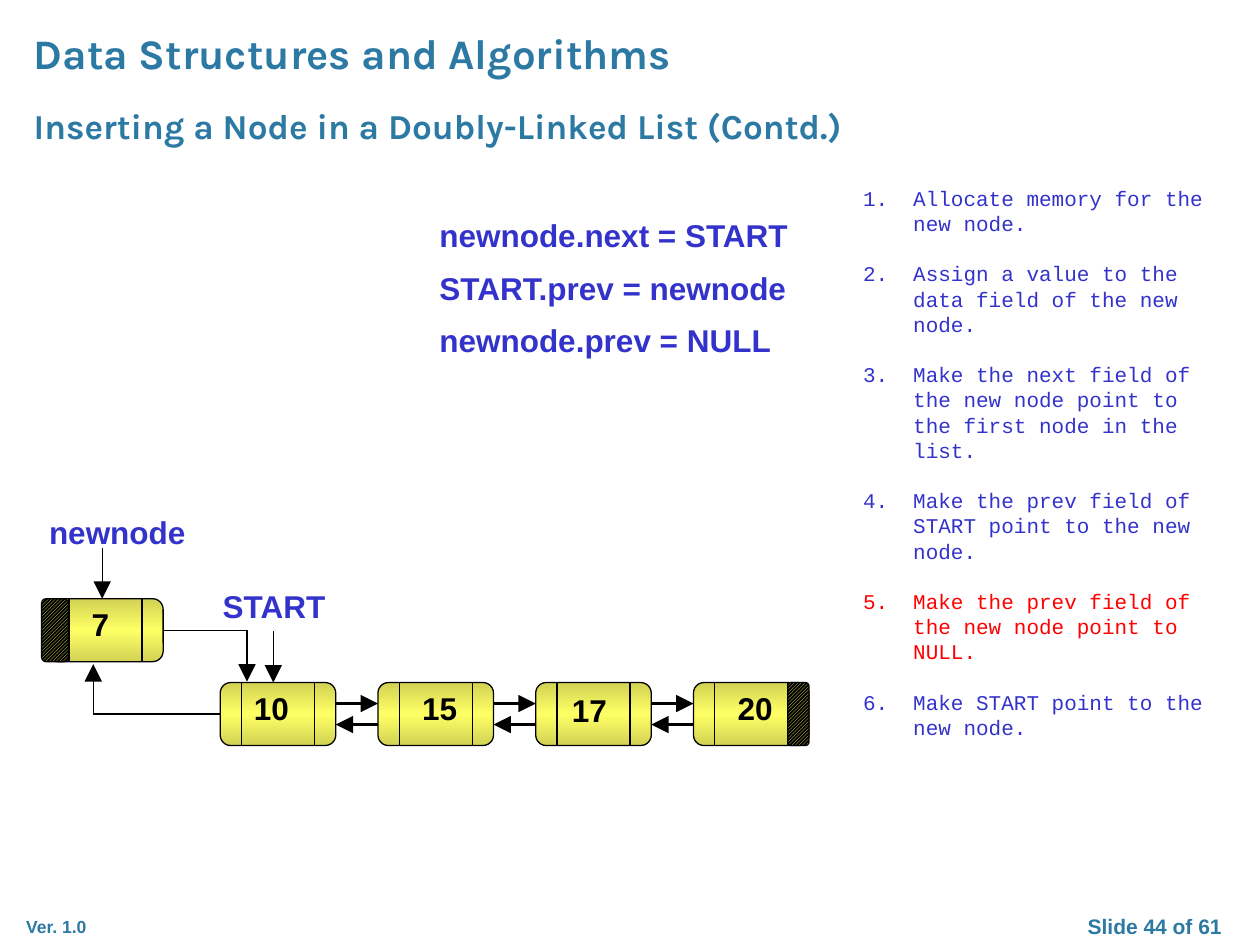
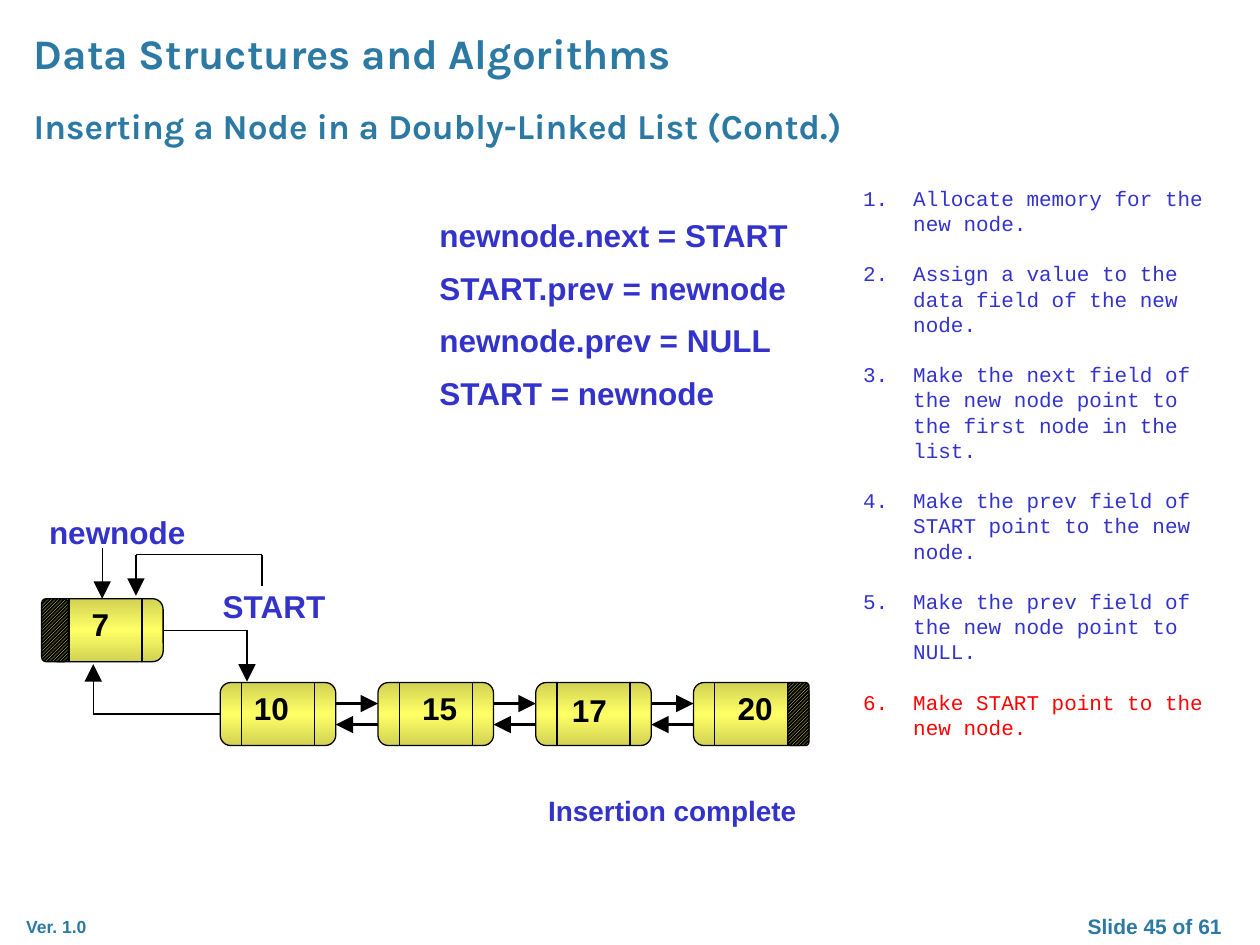
from copy import deepcopy
from itertools import pairwise

from pptx import Presentation
from pptx.dml.color import RGBColor
from pptx.enum.dml import MSO_PATTERN
from pptx.enum.shapes import MSO_CONNECTOR, MSO_SHAPE
from pptx.enum.text import PP_ALIGN
from pptx.oxml.ns import qn
from pptx.util import Cm, Pt
from lxml.etree import SubElement

# Content
COURSE = "Data Structures and Algorithms"
TOPIC = "Inserting a Node in a Doubly-Linked List (Contd.)"
VERSION = "Ver. 1.0"
STEPS = [
    "Allocate memory for the new node.",
    "Assign a value to the data field of the new node.",
    "Make the next field of the new node point to the first node in the list.",
    "Make the prev field of START point to the new node.",
    "Make the prev field of the new node point to NULL.",
    "Make START point to the new node.",
]
STATEMENTS = [
    "newnode.next = START",
    "START.prev = newnode",
    "newnode.prev = NULL",
    "START = newnode",
]
# Value and the offset of its label inside the node (cm)
LIST_NODES = [("10", 0.43, 0), ("15", 0.64, 0), ("17", 0.48, 0.04), ("20", 0.64, 0)]
SLIDES = [
    {"number": 44, "statements": 3, "active_step": 5, "closing": None,
     "start_pointer": [(5.51, 12.73), (5.51, 13.76)]},
    {"number": 45, "statements": 4, "active_step": 6, "closing": "Insertion complete",
     "start_pointer": [(5.28, 11.81), (5.28, 11.18), (2.74, 11.18), (2.74, 12.01)]},
]

# Style
TEAL = RGBColor(0x2C, 0x79, 0xA4)
BLUE = RGBColor(0x33, 0x33, 0xCC)
RED = RGBColor(0xFF, 0x00, 0x00)
BLACK = RGBColor(0x00, 0x00, 0x00)
YELLOW = RGBColor(0xFF, 0xFF, 0x66)
OLIVE = RGBColor(0xD2, 0xD2, 0x54)
THIN, THICK = 0.75, 1.25

# Geometry (cm)
NODE_W, NODE_H, NODE_PITCH = 2.33, 1.27, 3.18
PREV_FIELD, NEXT_FIELD = 0.43, 1.9
LIST_LEFT, LIST_TOP = 4.44, 13.76
NEW_LEFT, NEW_TOP = 0.96, 12.07
STATEMENT_TOP, STATEMENT_PITCH = 4.23, 1.06
LINE_PITCH = Pt(14.4)


def style(p, size, color, font="Arial", bold=True):
    for r in p.runs:
        r.font.size, r.font.name, r.font.bold = Pt(size), font, bold
        r.font.color.rgb = color


def add_text(s, text, left, top, width, height, size, color, font="Arial", align=PP_ALIGN.LEFT):
    tf = s.shapes.add_textbox(Cm(left), Cm(top), Cm(width), Cm(height)).text_frame
    tf.word_wrap = True
    tf.text = text
    tf.paragraphs[0].alignment = align
    style(tf.paragraphs[0], size, color, font)


def add_label(s, text, left, top, width, color=BLUE):
    add_text(s, text, left, top, width, 1.02, 18, color)


def add_line(s, start, end, width=THIN, arrow=False):
    line = s.shapes.add_connector(MSO_CONNECTOR.STRAIGHT, *map(Cm, start + end))
    line.line.color.rgb = BLACK
    line.line.width = Pt(width)
    if arrow:
        SubElement(line.line._get_or_add_ln(), qn("a:tailEnd"), type="triangle", w="lg", len="lg")
    SubElement(line.element.spPr, qn("a:effectLst"))
    return line


def add_path(s, points):
    """Straight legs through the points, with an arrowhead on the last one."""
    legs = list(pairwise(points))
    return [add_line(s, a, b, arrow=(a, b) == legs[-1]) for a, b in legs]


def add_box(s, left, top, width):
    sp = s.shapes.add_shape(MSO_SHAPE.ROUNDED_RECTANGLE, Cm(left), Cm(top), Cm(width), Cm(NODE_H))
    sp.shadow.inherit = False
    sp.adjustments[0] = 0.167
    sp.line.color.rgb = BLACK
    sp.line.width = Pt(THIN)
    return sp


def add_null_field(s, left, top, width):
    fill = add_box(s, left, top, width).fill
    fill.patterned()
    fill.pattern = MSO_PATTERN.DARK_UPWARD_DIAGONAL
    fill.fore_color.rgb, fill.back_color.rgb = YELLOW, BLACK


def add_node(s, value, left, top, dx, dy=0):
    sp = add_box(s, left, top, NODE_W)
    sp.fill.gradient()
    sp.fill.gradient_angle = 90
    edge, middle = sp.fill.gradient_stops
    edge.color.rgb, edge.position = OLIVE, 0
    middle.color.rgb, middle.position = YELLOW, 0.5
    stops = sp.element.spPr.find(".//" + qn("a:gsLst"))
    last = deepcopy(stops[0])
    last.set("pos", "100000")
    stops.append(last)
    for field in (PREV_FIELD, NEXT_FIELD):
        add_line(s, (left + field, top), (left + field, top + NODE_H))
    add_label(s, value, left + dx, top + dy, 1.25, BLACK)
    return sp


def add_frame(s, number):
    add_text(s, COURSE, 0.43, 0.43, 21.16, 1.4, 24, TEAL, "Karla")
    add_text(s, TOPIC, 0.43, 1.98, 18.5, 1.12, 20, TEAL, "Karla")
    add_text(s, VERSION, 0.28, 18.34, 2.2, 0.69, 10, TEAL)
    add_text(s, f"Slide {number} of 61", 21.16, 18.29, 4.24, 0.75, 12, TEAL,
             align=PP_ALIGN.CENTER)


def add_steps(s, active):
    tf = s.shapes.add_textbox(Cm(17.15), Cm(3.61), Cm(7.62), Cm(12.06)).text_frame
    tf.word_wrap = True
    tf.text = "\n".join(STEPS)
    for number, p in enumerate(tf.paragraphs, 1):
        style(p, 12, RED if number == active else BLUE, "Courier New", False)
        p.line_spacing = LINE_PITCH
        p.space_after = LINE_PITCH
        # Hanging number
        pPr = p._p.get_or_add_pPr()
        pPr.set("marL", str(Cm(1.01)))
        pPr.set("indent", str(Cm(-1.01)))
        SubElement(pPr, qn("a:buFont"), typeface="Times New Roman")
        SubElement(pPr, qn("a:buAutoNum"), type="arabicPeriod")


def add_list(s):
    # Chained nodes, with links both ways between neighbours
    nodes = []
    for i, (value, dx, dy) in enumerate(LIST_NODES):
        left = LIST_LEFT + i * NODE_PITCH
        nodes.append(add_node(s, value, left, LIST_TOP, dx, dy))
        if i:
            next_y, prev_y = LIST_TOP + NODE_H / 3, LIST_TOP + NODE_H * 2 / 3
            before = left - NODE_PITCH + NODE_W
            add_line(s, (before, next_y), (left, next_y), THICK, True)
            add_line(s, (left, prev_y), (before, prev_y), THICK, True)
    add_null_field(s, left + NEXT_FIELD, LIST_TOP, PREV_FIELD)

    # New node and its links with the first node
    new = add_node(s, "7", NEW_LEFT, NEW_TOP, 0.64)
    add_null_field(s, 0.84, NEW_TOP, 0.54)
    new_mid, list_mid = NEW_TOP + NODE_H / 2, LIST_TOP + NODE_H / 2
    next_link = add_path(s, [(NEW_LEFT + NODE_W, new_mid), (4.98, new_mid), (4.98, 13.74)])
    next_link[0].begin_connect(new, 3)
    prev_link = add_path(s, [(LIST_LEFT, list_mid), (1.88, list_mid), (1.88, 13.39)])
    prev_link[0].begin_connect(nodes[0], 1)

    # Pointer names
    add_label(s, "newnode", 0.74, 10.21, 3.5)
    add_path(s, [(2.06, 11.05), (2.06, NEW_TOP)])
    add_label(s, "START", 4.24, 11.7, 2.8)


def main():
    prs = Presentation()
    prs.slide_width, prs.slide_height = Cm(25.4), Cm(19.05)
    for page in SLIDES:
        s = prs.slides.add_slide(prs.slide_layouts[6])
        add_frame(s, page["number"])
        for i, statement in enumerate(STATEMENTS[:page["statements"]]):
            add_label(s, statement, 8.61, STATEMENT_TOP + i * STATEMENT_PITCH, 7.8)
        add_list(s)
        add_path(s, page["start_pointer"])
        if page["closing"]:
            add_text(s, page["closing"], 10.8, 15.88, 6.15, 0.94, 16, BLUE)
        add_steps(s, page["active_step"])
    prs.save("out.pptx")


if __name__ == "__main__":
    main()
